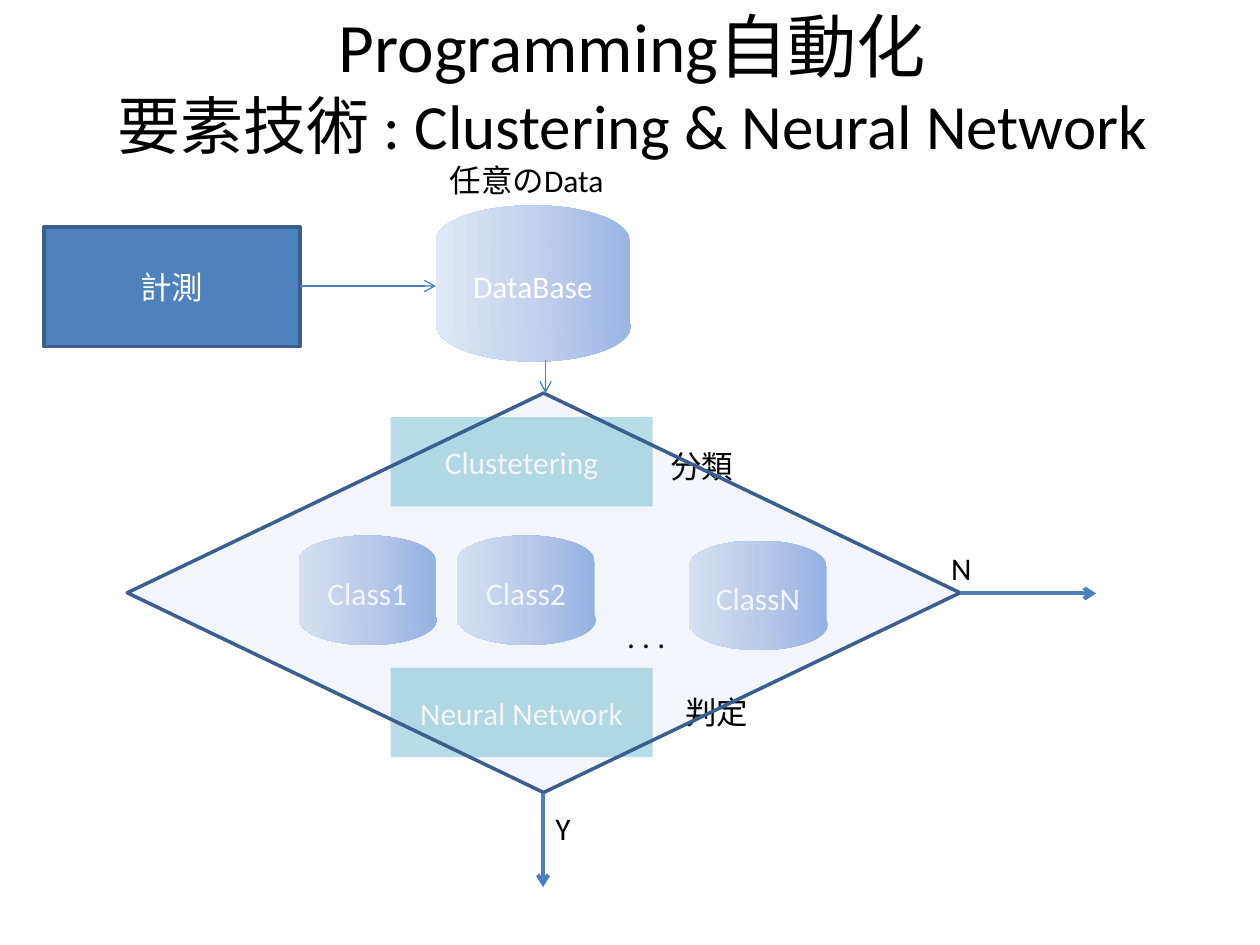
from copy import deepcopy

from lxml import etree
from pptx import Presentation
from pptx import util as u
from pptx.dml.color import RGBColor
from pptx.enum import shapes, text
from pptx.oxml import ns

BLACK = RGBColor(0x00, 0x00, 0x00)
WHITE = RGBColor(0xFF, 0xFF, 0xFF)
BLUE = RGBColor(0x4F, 0x81, 0xBD)
DARK_BLUE = RGBColor(0x3A, 0x5F, 0x8C)
ARROW_BLUE = RGBColor(0x4B, 0x7E, 0xBC)
AQUA = RGBColor(0xB7, 0xDE, 0xE8)
GRADIENT = (
    (0, RGBColor(0x9A, 0xB5, 0xE4)),
    (0.5, RGBColor(0xC2, 0xD1, 0xED)),
    (1, RGBColor(0xE1, 0xE8, 0xF5)),
)
KIND = shapes.MSO_SHAPE


def box(*lengths):
    return [u.Inches(length) for length in lengths]


def format_font(font, size=18, color=BLACK):
    for name, value in {"name": "Calibri", "size": u.Pt(size)}.items():
        setattr(font, name, value)
    font.color.rgb = color


def add_block(parent, kind, place, fill=None, line=None, label=None):
    shape = parent.add_shape(kind, *box(*place))
    shape.shadow.inherit = False
    if fill is not None:
        shape.fill.solid()
        shape.fill.fore_color.rgb = fill
    if line is None:
        shape.line.fill.background()
    else:
        shape.line.color.rgb = line
        shape.line.width = u.Pt(2)
    if label:
        frame = shape.text_frame
        frame.vertical_anchor = text.MSO_ANCHOR.MIDDLE
        paragraph = frame.paragraphs[0]
        paragraph.alignment = text.PP_ALIGN.CENTER
        run = paragraph.add_run()
        run.text = label
        format_font(run.font, color=WHITE)
    return shape


def shade(shape):
    fill = shape.fill
    fill.gradient()
    fill.gradient_angle = 180
    first = shape._element.spPr.find(".//" + ns.qn("a:gs"))
    first.addnext(deepcopy(first))
    for stop, (position, color) in zip(fill.gradient_stops, GRADIENT):
        stop.position = position
        stop.color.rgb = color


def add_cylinder(parent, left, top, width, cap, body, label):
    parts = (
        (KIND.OVAL, (left + 0.01, top + body - 0.04, width, cap), None),
        (KIND.OVAL, (left, top, width, cap), None),
        (KIND.RECTANGLE, (left, top + cap / 2, width, body), label),
    )
    for kind, place, words in parts:
        shade(add_block(parent, kind, place, label=words))


def add_label(slide, words, place, wrap=False):
    frame = slide.shapes.add_textbox(*box(*place)).text_frame
    settings = {"word_wrap": wrap, "auto_size": text.MSO_AUTO_SIZE.SHAPE_TO_FIT_TEXT}
    for name, value in settings.items():
        setattr(frame, name, value)
    run = frame.paragraphs[0].add_run()
    run.text = words
    format_font(run.font)


def add_arrow(slide, ends, width):
    arrow = slide.shapes.add_connector(shapes.MSO_CONNECTOR.STRAIGHT, *box(*ends))
    arrow.line.color.rgb = ARROW_BLUE
    arrow.line.width = u.Pt(width)
    etree.SubElement(arrow.line._get_or_add_ln(), ns.qn("a:tailEnd"), type="arrow")
    etree.SubElement(arrow._element.spPr, ns.qn("a:effectLst"))


def set_title(slide):
    title = slide.shapes.title
    sides = ("left", "top", "width", "height")
    for name, value in zip(sides, box(0.52, 0.03, 9, 1.25)):
        setattr(title, name, value)
    frame = title.text_frame
    frame.word_wrap = True
    frame.auto_size = text.MSO_AUTO_SIZE.NONE
    frame.vertical_anchor = text.MSO_ANCHOR.MIDDLE
    paragraph = frame.paragraphs[0]
    paragraph.alignment = text.PP_ALIGN.CENTER
    lines = (("Programming自動化\v", 39.6), ("要素技術 : Clustering & Neural Network", 36))
    for words, size in lines:
        run = paragraph.add_run()
        if words.endswith("\v"):
            paragraph.add_line_break()
        run.text = words.rstrip("\v")
        format_font(run.font, size)


def add_decision(slide):
    diamond = add_block(
        slide.shapes, KIND.FLOWCHART_DECISION, (1.01, 3.12, 6.61, 3.17), BLUE, DARK_BLUE
    )
    color = diamond._element.spPr.find(ns.qn("a:solidFill"))[0]
    etree.SubElement(color, ns.qn("a:alpha"), val="7000")


def main():
    presentation = Presentation()
    presentation.slide_width, presentation.slide_height = box(10, 7.5)
    slide = presentation.slides.add_slide(presentation.slide_layouts[5])
    set_title(slide)

    add_cylinder(slide.shapes, 3.46, 1.63, 1.54, 0.56, 0.72, "DataBase")
    add_label(slide, "任意のData", (3.47, 1.23, 1.44, 0.4), wrap=True)
    for label, top in (("Clustetering", 3.31), ("Neural Network", 5.3)):
        add_block(slide.shapes, KIND.RECTANGLE, (3.1, top, 2.08, 0.71), AQUA, label=label)
    for label, left, top in (
        ("Class1", 2.37, 4.25),
        ("Class2", 3.63, 4.25),
        ("ClassN", 5.47, 4.29),
    ):
        group = slide.shapes.add_group_shape()
        add_cylinder(group.shapes, left, top, 1.09, 0.4, 0.51, label)
    for label, place in (
        (". . . ", (4.88, 4.85, 0.56, 0.4)),
        ("分類", (5.22, 3.5, 0.71, 0.4)),
        ("判定", (5.34, 5.45, 0.71, 0.4)),
    ):
        add_label(slide, label, place)

    add_decision(slide)
    add_label(slide, "Y", (4.31, 6.37, 0.32, 0.4))
    add_label(slide, "N", (7.45, 4.31, 0.36, 0.4))
    add_block(slide.shapes, KIND.RECTANGLE, (0.35, 1.8, 2.03, 0.95), BLUE, DARK_BLUE, "計測")
    for ends, width in (
        ((7.62, 4.71, 8.7, 4.71), 2.25),
        ((4.31, 6.29, 4.31, 7.04), 2.25),
        ((4.33, 2.86, 4.33, 3.12), 0.75),
        ((2.38, 2.27, 3.46, 2.27), 0.75),
    ):
        add_arrow(slide, ends, width)

    presentation.save("out.pptx")


main()
